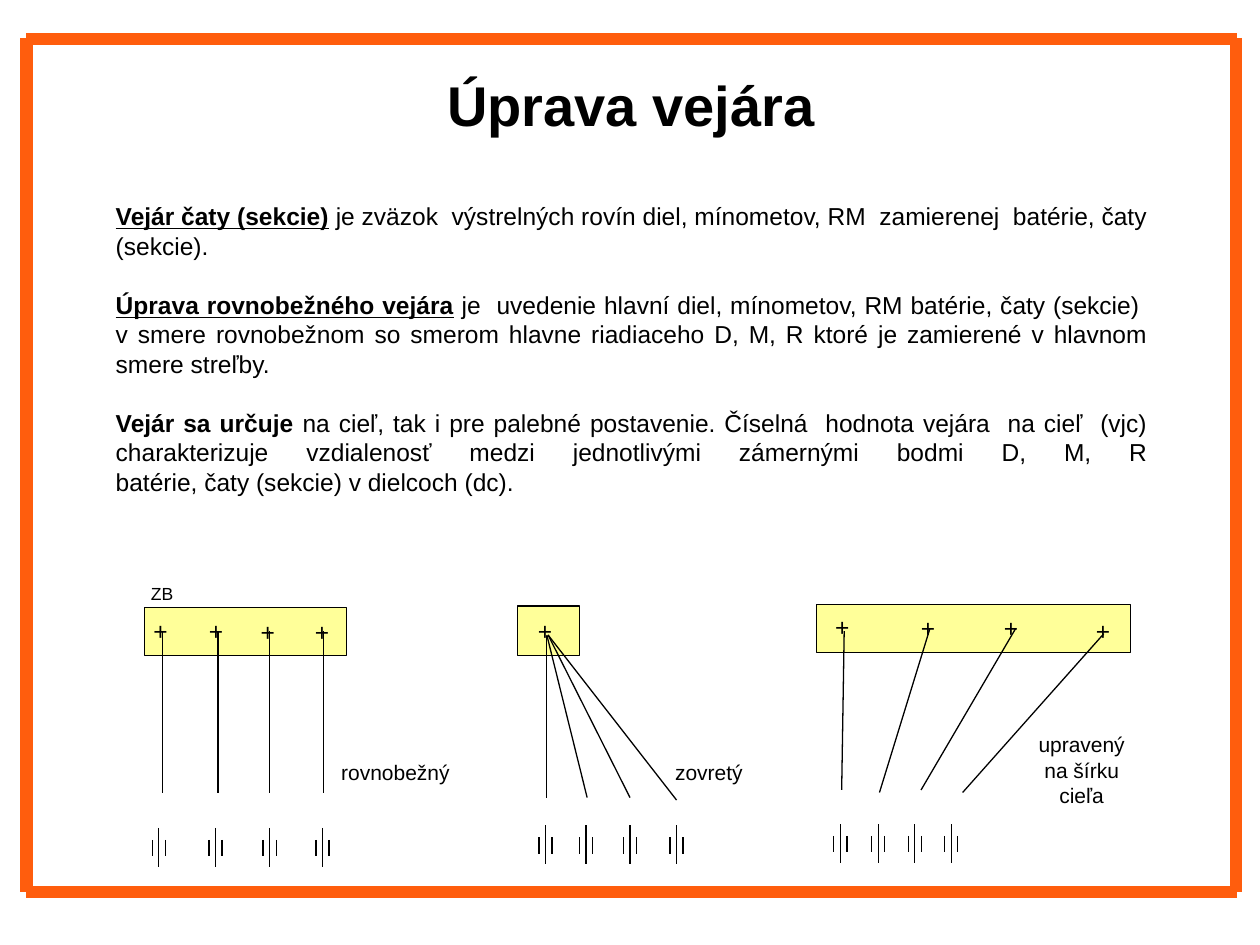
from dataclasses import dataclass

from lxml.etree import SubElement
from pptx import Presentation
from pptx.dml.color import RGBColor as Rgb
from pptx.enum.shapes import MSO_CONNECTOR as Connector, MSO_SHAPE as Shape
from pptx.enum.text import MSO_ANCHOR as Anchor, PP_ALIGN as Align
from pptx.oxml.ns import qn
from pptx.util import Inches, Pt

"""Builds the slide on adjusting the fan of fire of a battery."""


@dataclass(frozen=True)
class Theme:
    font: str = "Arial"
    ink: Rgb = Rgb(0, 0, 0)
    zone: Rgb = Rgb(0xFF, 0xFF, 0x99)
    frame: Rgb = Rgb(0xFF, 0x5D, 0x0D)
    title: float = 32
    body: float = 14
    label: float = 12
    small: float = 10
    thin: float = 0.75
    thick: float = 7


theme = Theme()
deck = Presentation()
deck.slide_width, deck.slide_height = Inches(10), Inches(7.5)
column, row = deck.slide_width / 100, deck.slide_height / 75
slide = deck.slides.add_slide(deck.slide_layouts[5])


def write(holder, paragraphs, size=theme.body, align=Align.LEFT, gap=0, anchor=Anchor.TOP, spacing=1.0):
    frame = holder.text_frame
    frame.word_wrap = True
    frame.vertical_anchor = anchor
    for index, runs in enumerate(paragraphs):
        paragraph = frame.add_paragraph() if index else frame.paragraphs[0]
        paragraph.alignment = align
        paragraph.line_spacing = spacing
        paragraph.space_before = Pt(gap if index else 0)
        for words, bold, underline in runs:
            for part, line in enumerate(words.split("\n")):
                if part:
                    paragraph.add_line_break()
                run = paragraph.add_run()
                run.text = line
                run.font.name, run.font.size = theme.font, Pt(size)
                run.font.bold, run.font.underline = bold, underline
                run.font.color.rgb = theme.ink


def draw_line(x1, y1, x2, y2, color=theme.ink, width=theme.thin):
    stroke = slide.shapes.add_connector(
        Connector.STRAIGHT, int(x1 * column), int(y1 * row), int(x2 * column), int(y2 * row))
    stroke.line.color.rgb = color
    stroke.line.width = Pt(width)
    SubElement(stroke._element.spPr, qn("a:effectLst"))


heading = slide.shapes.title
heading.left, heading.top = int(5.1 * column), int(2 * row)
heading.width, heading.height = int(90 * column), int(12.5 * row)
write(heading, [[("Úprava vejára", True, False)]], size=theme.title, align=Align.CENTER, anchor=Anchor.MIDDLE)

fans = [
    ((11.5, 48.2, 16, 3.8), 65.7,
     [(12.8, 50.2), (17.2, 50.2), (21.3, 50.3), (25.6, 50.3)],
     [(12.9, 50.1, 12.9, 62.9), (17.3, 50.1, 17.3, 62.9), (21.4, 50.1, 21.4, 62.9), (25.7, 50.1, 25.7, 62.9)],
     [12.6, 17.1, 21.4, 25.6]),
    ((41.1, 48.1, 4.9, 3.9), 65.5,
     [(43.3, 50.2)],
     [(43.4, 50.5, 43.4, 63.3), (43.4, 50.4, 46.6, 63.3), (43.5, 50.4, 50, 63.3), (43.5, 50.4, 53.7, 63.5)],
     [43.3, 46.5, 50, 53.7]),
    ((64.8, 48, 24.9, 3.8), 65.4,
     [(66.9, 49.9), (73.7, 50), (80.3, 50), (87.6, 50.2)],
     [(67, 50.1, 66.8, 62.7), (73.8, 49.9, 69.8, 62.9), (80.6, 49.9, 73.1, 62.7), (87.6, 50.3, 76.4, 62.9)],
     [66.7, 69.7, 72.6, 75.5]),
]
labels = [("ZB", 11, 45.8, 5, 2.7, theme.small, Align.LEFT),
          ("zovretý", 52.6, 59.8, 8.4, 3, theme.label, Align.LEFT),
          ("upravený na šírku cieľa", 81, 57.6, 9.7, 7, theme.label, Align.CENTER),
          ("rovnobežný", 26.1, 59.8, 10.8, 3, theme.label, Align.LEFT)]

for (left, top, width, height), gun_top, targets, rays, guns in fans:
    zone = slide.shapes.add_shape(
        Shape.RECTANGLE, int(left * column), int(top * row), int(width * column), int(height * row))
    zone.shadow.inherit = False
    zone.fill.solid()
    zone.fill.fore_color.rgb = theme.zone
    zone.line.color.rgb = theme.ink
    zone.line.width = Pt(theme.thin)
    for x, y in targets:
        labels.append(("+", x - 1.6, y - 1.8, 3.3, 3.4, theme.body, Align.LEFT))
    for ray in rays:
        draw_line(*ray)
    for gun in guns:
        draw_line(gun, gun_top, gun, gun_top + 3.1)
        for side in (-0.52, 0.52):
            draw_line(gun + side, gun_top + 0.95, gun + side, gun_top + 2.25)

for words, left, top, width, height, size, align in labels:
    label = slide.shapes.add_textbox(
        int(left * column), int(top * row), int(width * column), int(height * row))
    write(label, [[(words, False, False)]], size=size, align=align)

definitions = slide.shapes.add_textbox(
    int(8.2 * column), int(15.5 * row), int(83.9 * column), int(24.4 * row))
write(definitions, [
    [("Vejár čaty (sekcie)", True, True),
     (" je zväzok  výstrelných rovín diel, mínometov, RM  zamierenej  batérie, čaty (sekcie).", False, False)],
    [("Úprava rovnobežného vejára", True, True),
     (" je  uvedenie hlavní diel, mínometov, RM batérie, čaty (sekcie) \nv smere rovnobežnom so smerom hlavne "
      "riadiaceho D, M, R ktoré je zamierené v hlavnom smere streľby.", False, False)],
    [("Vejár sa určuje ", True, False),
     ("na cieľ, tak i pre palebné postavenie. Číselná  hodnota vejára  na cieľ  (vjc) charakterizuje "
      "vzdialenosť medzi jednotlivými zámernými bodmi D, M, R\nbatérie, čaty (sekcie) v dielcoch (dc).",
      False, False)],
], align=Align.JUSTIFY, gap=17)

for x in (2.1, 98.1):
    draw_line(x, 3, x, 70.8, theme.frame, theme.thick)
for y in (3.1, 70.8):
    draw_line(2.1, y, 98.2, y, theme.frame, theme.thick)

deck.save("out.pptx")
